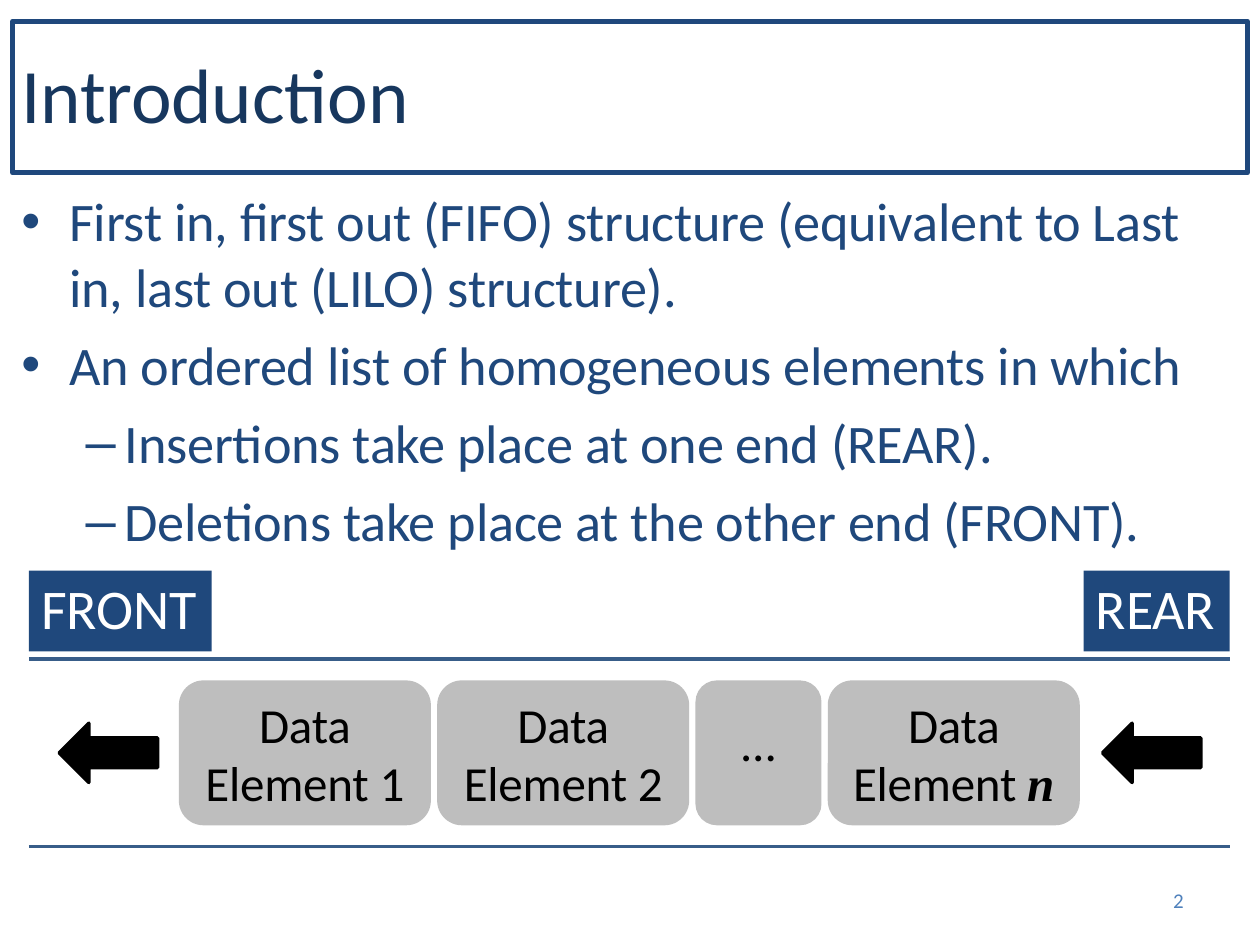
from lxml import etree
from pptx import Presentation
from pptx import util as u
from pptx.dml.color import RGBColor
from pptx.enum import shapes, text
from pptx.oxml.ns import qn

NAVY, GRAY, BLACK, WHITE = "1F487C", "BEBEBE", "000000", "FFFFFF"
Inches = u.Inches
color = RGBColor.from_string


def set_frame(shape, left=0, top=0, bottom=0, anchor=text.MSO_ANCHOR.TOP):
    """Set insets and anchor of a shape's text frame and return the frame."""
    frame = shape.text_frame
    frame.word_wrap = True
    frame.auto_size = text.MSO_AUTO_SIZE.NONE
    frame.margin_left, frame.margin_right = Inches(left), 0
    frame.margin_top, frame.margin_bottom = Inches(top), Inches(bottom)
    frame.vertical_anchor = anchor
    return frame


def add_run(paragraph, words, size, hex_color, font="Calibri"):
    run = paragraph.add_run()
    run.text = words
    run.font.size = u.Pt(size)
    run.font.name = font
    run.font.color.rgb = color(hex_color)
    run._r.get_or_add_rPr().set("spc", "-10")
    return run


presentation = Presentation()
presentation.slide_width, presentation.slide_height = Inches(10), Inches(7.5)
slide = presentation.slides.add_slide(presentation.slide_layouts[5])

# Title
title = slide.shapes.title
title.left, title.top = Inches(0.1), Inches(0.17)
title.width, title.height = Inches(9.8), Inches(1.2)
title.line.color.rgb = color(NAVY)
title.line.width = u.Pt(3)
paragraph = set_frame(title, left=0.07, top=0.2).paragraphs[0]
paragraph.alignment = text.PP_ALIGN.LEFT
add_run(paragraph, "Introduction", 44, "17375E")

# Bullets: level, space before, words
bullets = [
    (0, 0.9, "First in, first out (FIFO) structure (equivalent to Last in, last out (LILO) structure)."),
    (0, 7.5, "An ordered list of homogeneous elements in which"),
    (1, 7.5, "Insertions take place at one end (REAR)."),
    (1, 7.5, "Deletions take place at the other end (FRONT)."),
]
bullet_styles = [("•", 0.39, -0.38), ("–", 0.83, -0.31)]
body = slide.shapes.add_textbox(Inches(0.16), Inches(1.48), Inches(9.3), Inches(2.92))
frame = set_frame(body, top=0.01)
for index, (level, space, words) in enumerate(bullets):
    paragraph = frame.add_paragraph() if index else frame.paragraphs[0]
    paragraph.level = level
    paragraph.space_before = u.Pt(space)
    symbol, margin, indent = bullet_styles[level]
    properties = paragraph._p.get_or_add_pPr()
    properties.set("marL", str(Inches(margin)))
    properties.set("indent", str(Inches(indent)))
    etree.SubElement(properties, qn("a:buFont")).set("typeface", "Arial")
    etree.SubElement(properties, qn("a:buChar")).set("char", symbol)
    add_run(paragraph, words, 31, NAVY)

# Labels of the two queue ends
for words, left, width in [("FRONT", 0.23, 1.45), ("REAR", 8.6, 1.16)]:
    label = slide.shapes.add_shape(
        shapes.MSO_SHAPE.RECTANGLE, Inches(left), Inches(4.53), Inches(width), Inches(0.64))
    label.shadow.inherit = False
    label.fill.solid()
    label.fill.fore_color.rgb = color(NAVY)
    label.line.fill.background()
    paragraph = set_frame(label, left=0.1, top=0.02).paragraphs[0]
    paragraph.alignment = text.PP_ALIGN.LEFT
    paragraph.space_before = u.Pt(1.6)
    add_run(paragraph, words, 32, WHITE)

# Queue borders
for y in (5.23, 6.72):
    border = slide.shapes.add_connector(
        shapes.MSO_CONNECTOR.STRAIGHT, Inches(0.23), Inches(y), Inches(9.76), Inches(y))
    border.line.color.rgb = color("385D89")
    border.line.width = u.Pt(2)
    etree.SubElement(border._element.spPr, qn("a:effectLst"))

# Queue elements: words, italic index, width, bottom inset
elements = [
    ("Data Element 1", "", 2, 0),
    ("Data Element 2", "", 2, 0),
    ("…", "", 1, 0.18),
    ("Data Element ", "n", 2, 0),
]
left, gap = 1.42, 0.05
for words, variable, width, bottom in elements:
    element = slide.shapes.add_shape(
        shapes.MSO_SHAPE.ROUNDED_RECTANGLE, Inches(left), Inches(5.4), Inches(width), Inches(1.15))
    element.adjustments[0] = 0.17
    element.shadow.inherit = False
    element.fill.solid()
    element.fill.fore_color.rgb = color(GRAY)
    element.line.fill.background()
    paragraph = set_frame(element, bottom=bottom, anchor=text.MSO_ANCHOR.MIDDLE).paragraphs[0]
    paragraph.alignment = text.PP_ALIGN.CENTER
    add_run(paragraph, words, 28, BLACK)
    if variable:
        run = add_run(paragraph, variable, 28, BLACK, "Times New Roman")
        run.font.bold = run.font.italic = True
    left += width + gap

# Arrows out of and into the queue
for left in (0.47, 8.75):
    arrow = slide.shapes.add_shape(
        shapes.MSO_SHAPE.LEFT_ARROW, Inches(left), Inches(5.74), Inches(0.78), Inches(0.47))
    arrow.shadow.inherit = False
    arrow.fill.solid()
    arrow.fill.fore_color.rgb = color(BLACK)
    arrow.line.color.rgb = color(BLACK)
    arrow.line.width = u.Pt(2)
    etree.SubElement(arrow.line._get_or_add_ln(), qn("a:round"))

# Page number
number = slide.shapes.add_textbox(Inches(9.27), Inches(7.07), Inches(0.17), Inches(0.19))
paragraph = set_frame(number, left=0.04).paragraphs[0]
paragraph.line_spacing = u.Pt(12.4)
add_run(paragraph, "2", 12, "4F81BC")

presentation.save("out.pptx")
